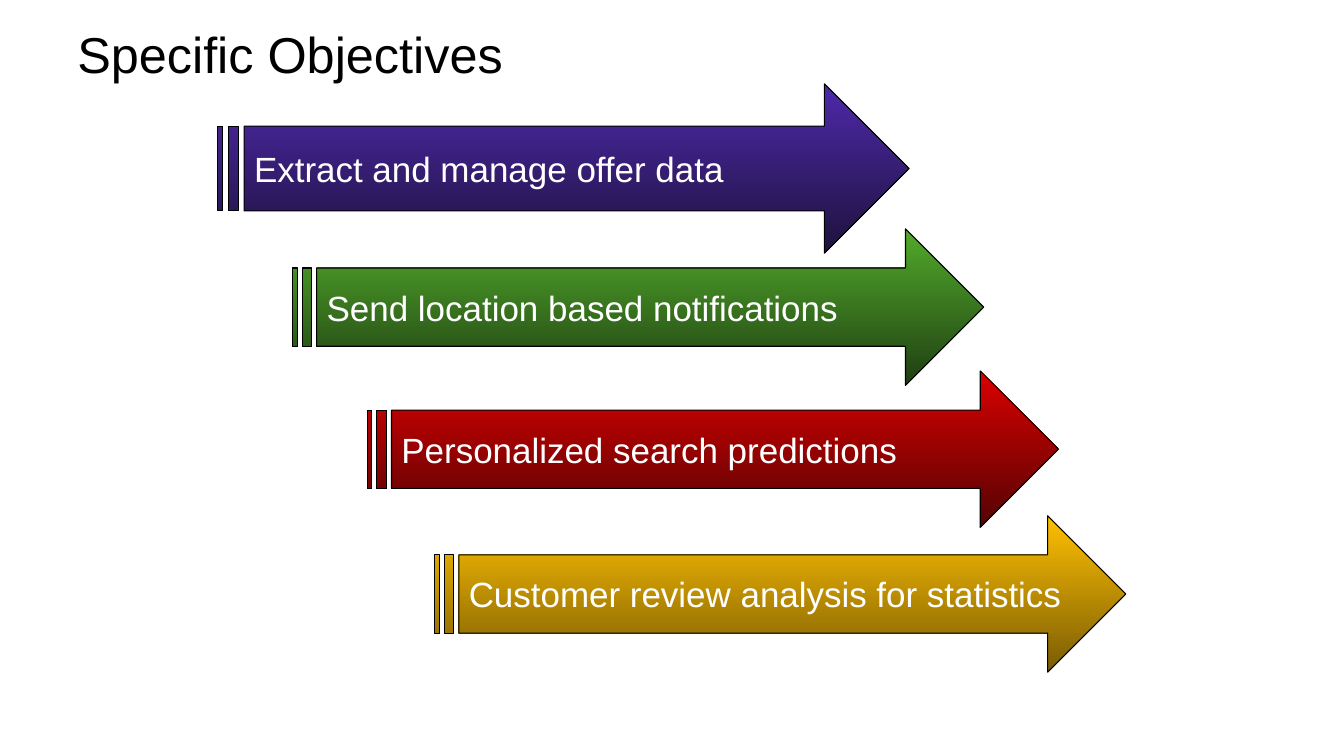
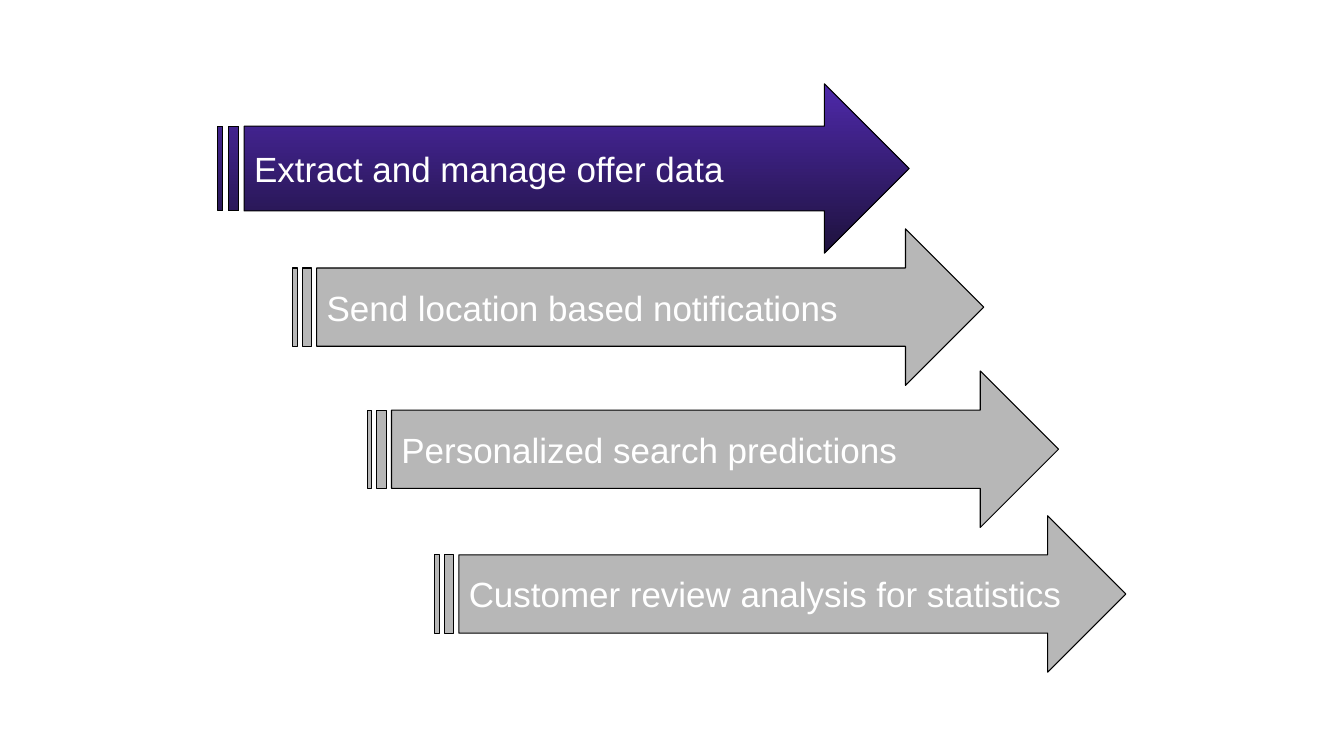
import pptx
import pptx.dml.color
import pptx.enum.shapes
import pptx.enum.text
import pptx.util

Pt = pptx.util.Pt
TITLE_ONLY, BLANK = 5, 6
BLACK, WHITE, MUTED = "000000", "FFFFFF", "B7B7B7"

OBJECTIVES = [
    ("Extract and manage offer data", 155.5, 59.9, 121, ("4E29AA", "1E123D")),
    ("Send location based notifications", 208.8, 163.5, 111.8, ("51AB2A", "203E13")),
    ("Personalized search predictions", 262.2, 265, 111.8, ("DB0000", "540303")),
    ("Customer review analysis for statistics", 310.3, 368.4, 111.8, ("FFC002", "795B04")),
]


def rgb(hex_colour):
    return pptx.dml.color.RGBColor.from_string(hex_colour)


class Deck:
    font = "Arial"
    title_size = 36
    objective_size = 25
    arrow_width = 493.9
    margin = 7.2

    def __init__(self):
        self.presentation = pptx.Presentation()
        self.presentation.slide_width = Pt(960)
        self.presentation.slide_height = Pt(540)
        self.slide = None

    def new_slide(self, layout):
        layouts = self.presentation.slide_layouts
        self.slide = self.presentation.slides.add_slide(layouts[layout])

    def set_text(self, shape, text, size, colour, vertical_margin):
        frame = shape.text_frame
        frame.word_wrap = True
        frame.auto_size = pptx.enum.text.MSO_AUTO_SIZE.NONE
        frame.vertical_anchor = pptx.enum.text.MSO_ANCHOR.MIDDLE
        frame.margin_left = frame.margin_right = Pt(self.margin)
        frame.margin_top = frame.margin_bottom = Pt(vertical_margin)
        paragraph = frame.paragraphs[0]
        paragraph.alignment = pptx.enum.text.PP_ALIGN.LEFT
        run = paragraph.add_run()
        run.text = text
        run.font.name = self.font
        run.font.size = Pt(size)
        run.font.color.rgb = rgb(colour)

    def title(self, text):
        heading = self.slide.shapes.title
        heading.left, heading.top = Pt(48), Pt(15.1)
        heading.width, heading.height = Pt(864), Pt(46)
        self.set_text(heading, text, self.title_size, BLACK, self.margin / 2)

    def objective(self, text, left, top, height, gradient, active):
        arrow = self.slide.shapes.add_shape(
            pptx.enum.shapes.MSO_SHAPE.STRIPED_RIGHT_ARROW,
            Pt(left), Pt(top), Pt(self.arrow_width), Pt(height))
        arrow.shadow.inherit = False
        arrow.line.color.rgb = rgb(BLACK)
        arrow.line.width = Pt(0.75)
        if active:
            arrow.fill.gradient()
            arrow.fill.gradient_angle = 270
            for stop, colour in zip(arrow.fill.gradient_stops, gradient):
                stop.color.rgb = rgb(colour)
        else:
            arrow.fill.solid()
            arrow.fill.fore_color.rgb = rgb(MUTED)
        self.set_text(arrow, text, self.objective_size, WHITE, self.margin)

    def objectives(self, active_count):
        for index, objective in enumerate(OBJECTIVES):
            self.objective(*objective, active=index < active_count)


def main():
    deck = Deck()
    deck.new_slide(TITLE_ONLY)
    deck.title("Specific Objectives")
    deck.objectives(active_count=len(OBJECTIVES))
    deck.new_slide(BLANK)
    deck.objectives(active_count=1)
    deck.presentation.save("out.pptx")


if __name__ == "__main__":
    main()
